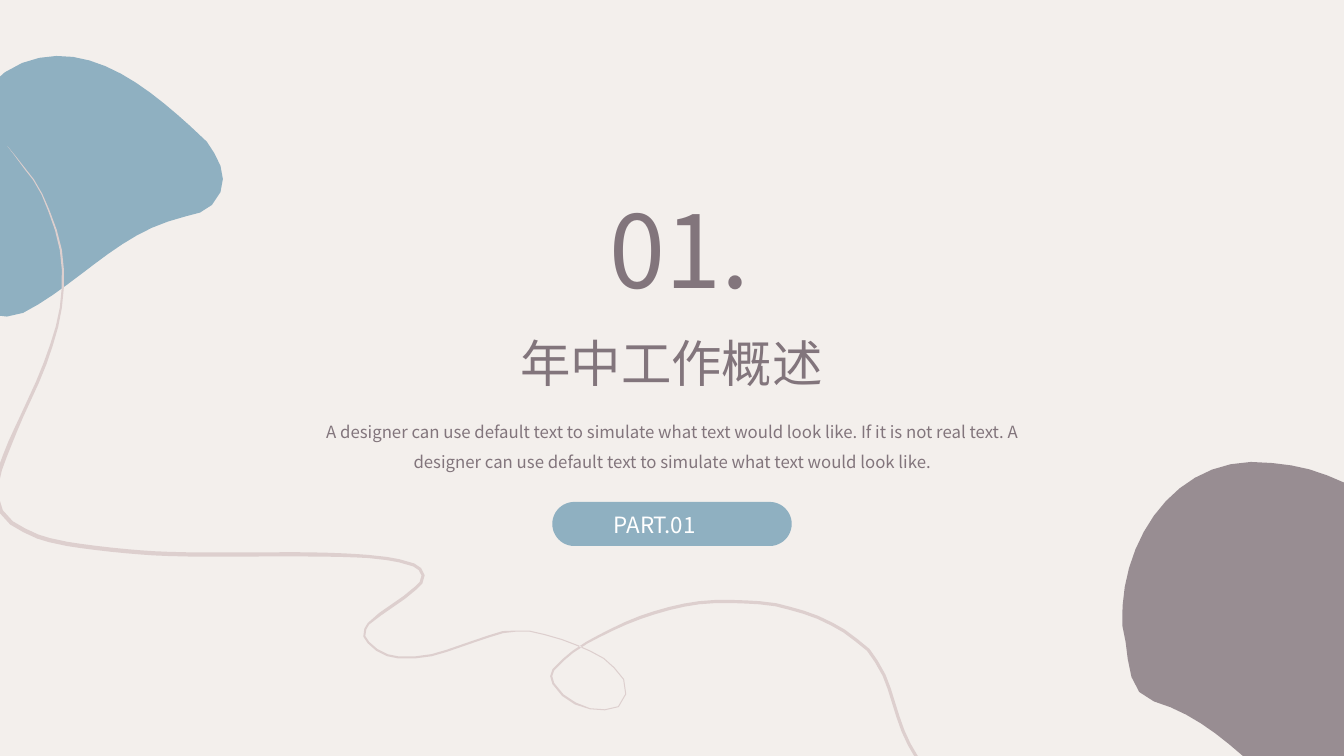
"""Build the section title slide with soft blobs and a winding ribbon."""
import math
from dataclasses import dataclass

import lxml.etree
import pptx
import pptx.dml.color
import pptx.enum.shapes
import pptx.enum.text
import pptx.oxml.ns
import pptx.shapes.autoshape
import pptx.slide
import pptx.util

Point = tuple[float, float]

EMU_PER_PX = 9525
CHORD = 16
FONT = "Noto Sans CJK SC"
COLOURS = {
    "background": "F3EFEC",
    "blue": "8FB0C1",
    "mauve": "82757C",
    "rose": "DDCFCE",
    "white": "FFFFFF",
}
ALIGN = pptx.enum.text.PP_ALIGN


@dataclass(frozen=True)
class Blob:
    colour: str
    opacity: int
    start: Point
    curves: list[tuple[int, int, int, int, int, int]]


@dataclass(frozen=True)
class Label:
    text: str
    box: tuple[int, int, int, int]
    size: int
    colour: str
    align: ALIGN
    spacing: float = 1.0


BLOBS = [
    Blob("blue", 100, (-48, 282), [
        (-62, 267, -66, 246, -60, 227),
        (-49, 191, -35, 156, -28, 119),
        (-26, 110, -22, 102, -18, 94),
        (-10, 80, 3, 67, 21, 60),
        (82, 36, 138, 81, 181, 120),
        (187, 125, 192, 131, 197, 135),
        (202, 142, 207, 150, 210, 158),
        (213, 166, 213, 175, 210, 183),
        (204, 198, 191, 204, 177, 206),
        (171, 208, 165, 209, 160, 211),
        (108, 228, 71, 273, 22, 298),
        (2, 307, -21, 297, -40, 287),
        (-45, 284, -48, 282, -48, 282),
    ]),
    Blob("mauve", 80, (1069, 596), [
        (1065, 516, 1120, 429, 1212, 441),
        (1224, 442, 1236, 444, 1247, 447),
        (1259, 450, 1269, 455, 1281, 460),
        (1290, 466, 1301, 472, 1310, 479),
        (1350, 511, 1377, 553, 1393, 601),
        (1397, 617, 1399, 634, 1397, 651),
        (1390, 718, 1345, 817, 1283, 793),
        (1218, 770, 1175, 690, 1099, 668),
        (1075, 661, 1075, 632, 1072, 611),
        (1070, 602, 1069, 596, 1069, 596),
    ]),
]

RIBBON_KNOTS = [
    (7, 139, 0), (24, 161, 1), (40, 185, 1), (58, 238, 2), (58, 293, 2),
    (43, 346, 3), (21, 396, 3), (10, 421, 4), (0, 447, 4), (-3, 460, 4),
    (-3, 474, 4), (1, 487, 4), (11, 498, 4), (23, 505, 4), (36, 511, 4),
    (64, 518, 4), (121, 525, 4), (179, 528, 4), (294, 528, 4), (351, 530, 3),
    (380, 534, 3), (394, 538, 3), (400, 542, 3), (403, 548, 3), (401, 555, 3),
    (396, 560, 3), (385, 569, 3), (362, 585, 3), (351, 594, 2), (348, 599, 2),
    (347, 606, 2), (351, 612, 2), (359, 619, 2), (369, 624, 2), (379, 626, 2),
    (396, 626, 2), (411, 624, 2), (425, 620, 2), (451, 611, 2), (479, 602, 2),
    (492, 601, 1), (504, 601, 1), (535, 609, 1), (562, 620, 1), (575, 627, 1),
    (585, 636, 1), (594, 647, 1), (596, 661, 1), (589, 673, 1), (576, 676, 1),
    (562, 675, 1), (548, 670, 2), (536, 662, 2), (527, 651, 2), (525, 644, 2),
    (527, 638, 2), (537, 628, 2), (559, 612, 2), (610, 588, 3), (666, 574, 3),
    (723, 574, 3), (751, 579, 3), (779, 588, 3), (804, 601, 3), (816, 610, 3),
    (827, 619, 3), (842, 643, 3), (851, 669, 3), (860, 696, 3), (873, 721, 3),
    (891, 742, 3), (915, 759, 2), (941, 772, 1), (968, 782, 0),
]

PILL_BOX = (526, 478, 228, 42)
LABELS = [
    Label("A designer can use default text to simulate what text would look like. "
          "If it is not real text. A designer can use default text to simulate "
          "what text would look like.",
          (287, 387, 707, 64), 12, "mauve", ALIGN.CENTER, 1.5),
    Label("年中工作概述", (408, 300, 463, 74), 36, "mauve", ALIGN.CENTER, 1.2),
    Label("PART.01", (575, 482, 135, 36), 16, "white", ALIGN.JUSTIFY),
    Label("01.", (571, 174, 188, 126), 72, "mauve", ALIGN.LEFT),
]


def px(length: float) -> pptx.util.Emu:
    return pptx.util.Emu(round(length * EMU_PER_PX))


def rgb(name: str) -> pptx.dml.color.RGBColor:
    return pptx.dml.color.RGBColor.from_string(COLOURS[name])


def paint(shape: pptx.shapes.autoshape.Shape, colour: str, opacity: int = 100) -> None:
    shape.shadow.inherit = False
    shape.line.fill.background()
    shape.fill.solid()
    shape.fill.fore_color.rgb = rgb(colour)
    if opacity < 100:
        tag = pptx.oxml.ns.qn("a:srgbClr")
        colour_node = next(shape.fill._xPr.iter(tag))
        alpha = lxml.etree.SubElement(colour_node, pptx.oxml.ns.qn("a:alpha"))
        alpha.set("val", str(opacity * 1000))


def draw_outline(slide: pptx.slide.Slide, points: list[Point], colour: str,
                 opacity: int = 100) -> None:
    corners = [(px(x), px(y)) for x, y in points]
    builder = slide.shapes.build_freeform(*corners[0], scale=1.0)
    builder.add_line_segments(corners[1:], close=True)
    paint(builder.convert_to_shape(), colour, opacity)


def step_count(start: Point, end: Point) -> int:
    return max(1, round(math.dist(start, end) / CHORD))


def blob_points(blob: Blob) -> list[Point]:
    points = [blob.start]
    for x1, y1, x2, y2, x3, y3 in blob.curves:
        x0, y0 = points[-1]
        steps = step_count((x0, y0), (x3, y3))
        for step in range(1, steps + 1):
            t = step / steps
            s = 1 - t
            weights = (s ** 3, 3 * s * s * t, 3 * s * t * t, t ** 3)
            points.append((sum(w * x for w, x in zip(weights, (x0, x1, x2, x3))),
                           sum(w * y for w, y in zip(weights, (y0, y1, y2, y3)))))
    return points


def ribbon_points(knots: list[tuple[int, int, int]]) -> list[Point]:
    padded = [knots[0], *knots, knots[-1]]
    left, right = [], []
    for a, b, c, d in zip(padded, padded[1:], padded[2:], padded[3:]):
        steps = step_count(b[:2], c[:2])
        for step in range(steps):
            t = step / steps
            x, y = (b[i] + t * (c[i] - a[i]) / 2
                    + t * t * (2 * a[i] - 5 * b[i] + 4 * c[i] - d[i]) / 2
                    + t ** 3 * (3 * b[i] - a[i] - 3 * c[i] + d[i]) / 2 for i in (0, 1))
            dx, dy = ((c[i] - a[i]) / 2
                      + t * (2 * a[i] - 5 * b[i] + 4 * c[i] - d[i])
                      + t * t * (3 * b[i] - a[i] - 3 * c[i] + d[i]) * 1.5 for i in (0, 1))
            offset = (b[2] + t * (c[2] - b[2])) / 2 / math.hypot(dx, dy)
            left.append((x - dy * offset, y + dx * offset))
            right.append((x + dy * offset, y - dx * offset))
    return [*left, knots[-1][:2], *reversed(right)]


def draw_label(slide: pptx.slide.Slide, label: Label) -> None:
    frame = slide.shapes.add_textbox(*map(px, label.box)).text_frame
    paragraph = frame.paragraphs[0]
    run = paragraph.add_run()
    formats = [
        (frame, {"word_wrap": True,
                 "auto_size": pptx.enum.text.MSO_AUTO_SIZE.SHAPE_TO_FIT_TEXT}),
        (paragraph, {"alignment": label.align, "line_spacing": label.spacing}),
        (run, {"text": label.text}),
        (run.font, {"size": pptx.util.Pt(label.size), "name": FONT}),
        (run.font.color, {"rgb": rgb(label.colour)}),
    ]
    for target, values in formats:
        for name, value in values.items():
            setattr(target, name, value)
    east_asian = lxml.etree.SubElement(run.font._rPr, pptx.oxml.ns.qn("a:ea"))
    east_asian.set("typeface", FONT)


def main() -> None:
    presentation = pptx.Presentation()
    presentation.slide_width, presentation.slide_height = px(1280), px(720)
    slide = presentation.slides.add_slide(presentation.slide_layouts[6])
    slide.background.fill.solid()
    slide.background.fill.fore_color.rgb = rgb("background")
    for blob in BLOBS:
        draw_outline(slide, blob_points(blob), blob.colour, blob.opacity)
    draw_outline(slide, ribbon_points(RIBBON_KNOTS), "rose")
    pill = slide.shapes.add_shape(
        pptx.enum.shapes.MSO_SHAPE.ROUNDED_RECTANGLE, *map(px, PILL_BOX))
    pill.adjustments[0] = 0.5
    paint(pill, "blue")
    for label in LABELS:
        draw_label(slide, label)
    presentation.save("out.pptx")


if __name__ == "__main__":
    main()
